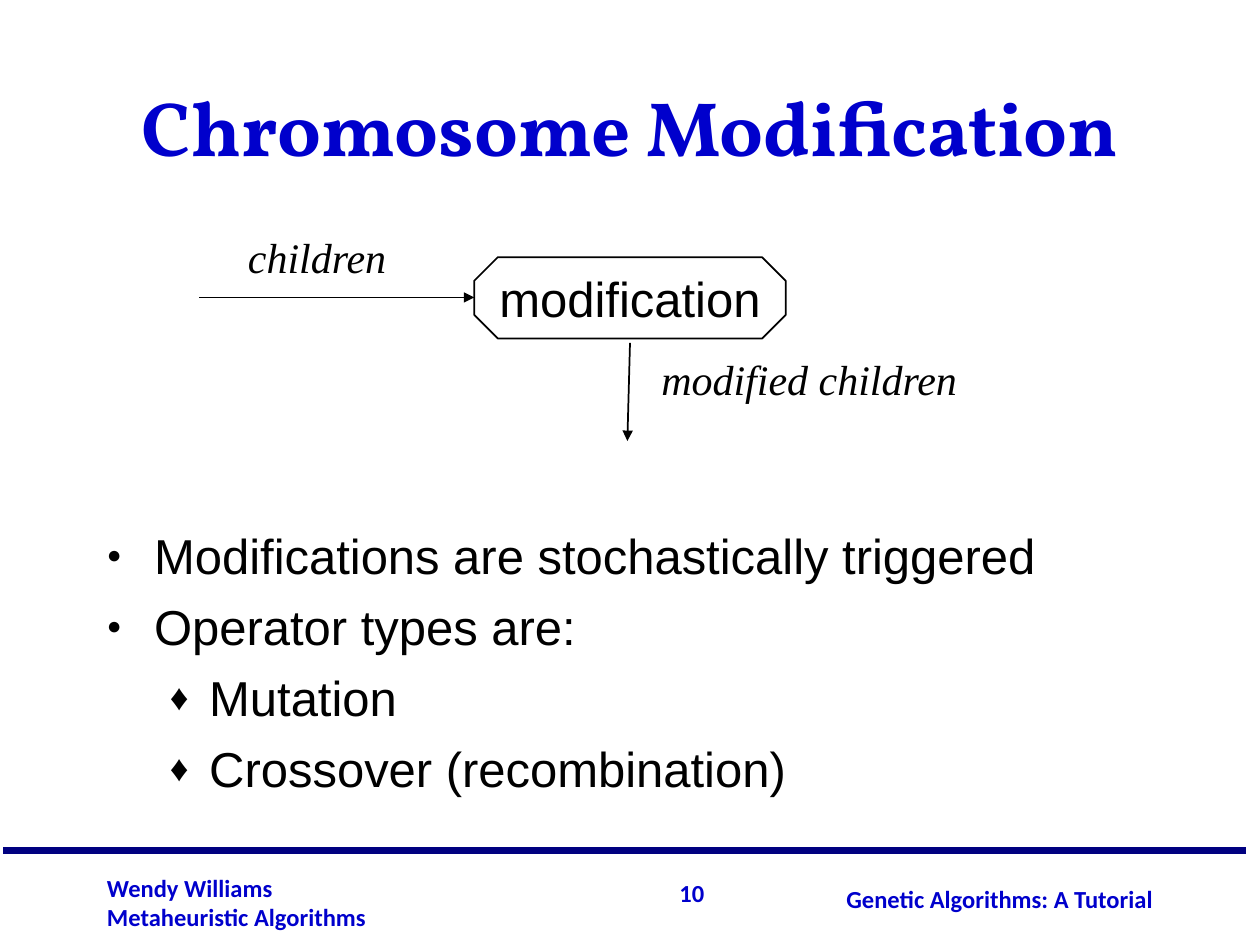
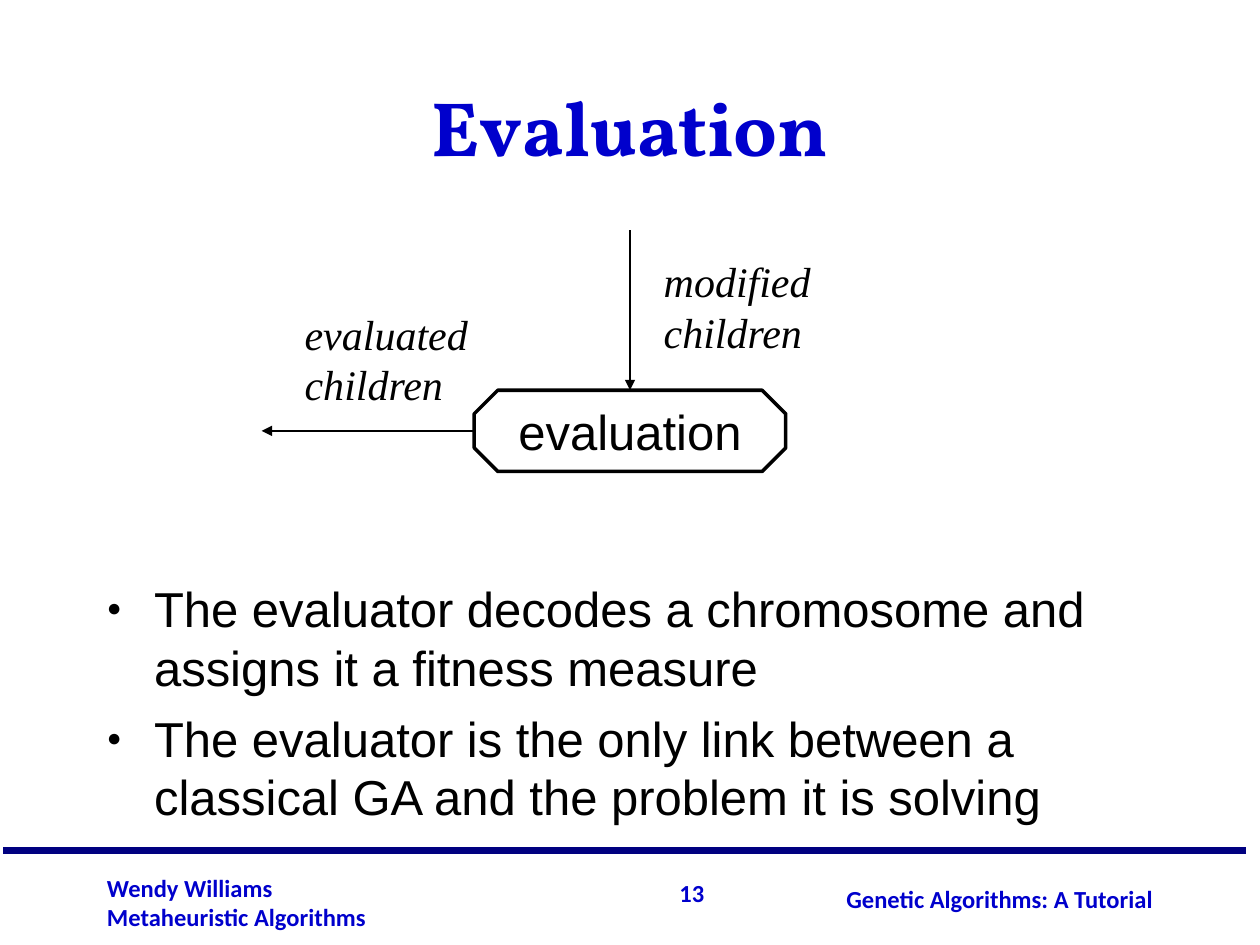
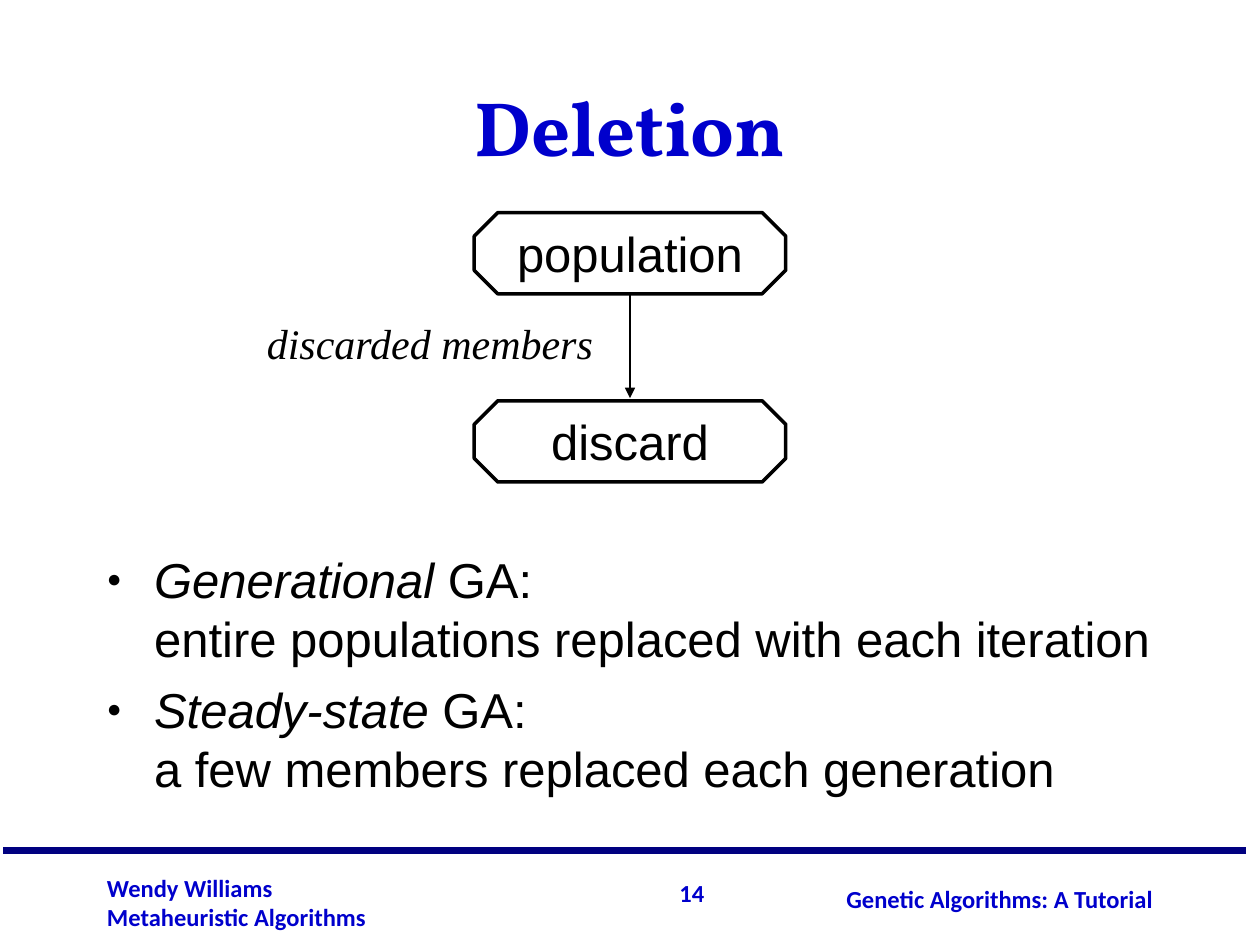
"""Build three slides on genetic algorithm steps, each with a flow sketch and bullets."""
from collections import namedtuple
from dataclasses import dataclass

from lxml.etree import SubElement
from pptx import Presentation
from pptx.dml.color import RGBColor
from pptx.enum.shapes import MSO_CONNECTOR, MSO_SHAPE
from pptx.enum.text import MSO_ANCHOR, MSO_AUTO_SIZE, PP_ALIGN
from pptx.oxml.ns import qn
from pptx.util import Pt

Style = namedtuple("Style", "font size color bold italic leading")


@dataclass(frozen=True)
class Theme:
    """Colours and type styles."""
    black: str = "000000"
    white: str = "FFFFFF"
    navy: str = "000080"
    title: Style = Style("Vollkorn", 44, "0000CC", True, False, None)
    body: Style = Style("Arial", 28, "000000", False, False, 33.6)
    term: Style = Style("Arial", 28, "000000", False, True, 33.6)
    label: Style = Style("Times New Roman", 24, "000000", False, True, 28.8)
    foot: Style = Style("Calibri", 14, "0000CC", True, False, None)


theme = Theme()


def write(shape, paras, align=PP_ALIGN.LEFT, anchor=MSO_ANCHOR.TOP, wrap=True):
    """Fill a shape with paragraphs, each a list of (text, style) runs."""
    frame = shape.text_frame
    frame.auto_size = MSO_AUTO_SIZE.NONE
    frame.word_wrap = wrap
    frame.vertical_anchor = anchor
    for row, runs in enumerate(paras):
        para = frame.add_paragraph() if row else frame.paragraphs[0]
        para.alignment = align
        for text, style in runs:
            if text == "\n":
                para.add_line_break()
                continue
            run = para.add_run()
            run.text = text
            run.font.name = style.font
            run.font.size = Pt(style.size)
            run.font.bold = style.bold
            run.font.italic = style.italic
            run.font.color.rgb = RGBColor.from_string(style.color)
            if style.leading:
                para.line_spacing = Pt(style.leading)
    return frame


def draw(slide, ends, color, width, arrow=True):
    """Draw a straight line, with an arrowhead at its end if asked."""
    line = slide.shapes.add_connector(MSO_CONNECTOR.STRAIGHT, *map(Pt, ends))
    line.line.color.rgb = RGBColor.from_string(color)
    line.line.width = Pt(width)
    if arrow:
        SubElement(line.line._get_or_add_ln(), qn("a:tailEnd"), type="triangle")
    SubElement(line._element.spPr, qn("a:effectLst"))


LEFT, WIDE, TALL = 271, 178, 46.4
MID = LEFT + WIDE / 2
FLOOR = 474
LEVELS = [(27, -27, "●", 50), (58.5, -22.5, "♦", 75)]

pages = [
    dict(
        number=10, title="Chromosome Modification", edge=1,
        steps=[("modification", 147)],
        arrows=[(114, 170, LEFT, 170), (MID, 196, 358.5, 252)],
        labels=[(["children"], 134.6, 128.9, 94.3),
                (["modified children"], 370.8, 198.7, 184.3)],
        top=297,
        points=[(0, [("Modifications are stochastically triggered", theme.body)]),
                (0, [("Operator types are:", theme.body)]),
                (1, [("Mutation", theme.body)]),
                (1, [("Crossover (recombination)", theme.body)])],
    ),
    dict(
        number=13, title="Evaluation", edge=2,
        steps=[("evaluation", 223)],
        arrows=[(MID, 131.5, MID, 223), (LEFT, 246.2, 149.5, 246.2)],
        labels=[(["evaluated", "children"], 167, 172.8, 107.3),
                (["modified", "children"], 372.2, 142.6, 97.9)],
        top=327,
        points=[(0, [("The evaluator decodes a chromosome and assigns it a fitness measure", theme.body)]),
                (0, [("The evaluator is the only link between a classical GA "
                      "and the problem it is solving", theme.body)])],
    ),
    dict(
        number=14, title="Deletion", edge=2,
        steps=[("population", 121.5), ("discard", 229)],
        arrows=[(MID, 168, MID, 227.5)],
        labels=[(["discarded members"], 145.4, 177.8, 201.6)],
        top=310.6,
        points=[(0, [("Generational", theme.term), (" GA:", theme.body), ("\n", None),
                     ("entire populations replaced with each iteration", theme.body)]),
                (0, [("Steady-state", theme.term), (" GA:", theme.body), ("\n", None),
                     ("a few members replaced each generation", theme.body)])],
    ),
]

deck = Presentation()
deck.slide_width, deck.slide_height = Pt(720), Pt(540)

for page in pages:
    slide = deck.slides.add_slide(deck.slide_layouts[5])
    shapes = slide.shapes

    feet = [
        ([str(page["number"])], (311, 498.2, 98.6, 24), PP_ALIGN.RIGHT),
        (["Wendy Williams", "Metaheuristic Algorithms"], (54, 495.4, 270, 40.3), PP_ALIGN.LEFT),
        (["Genetic Algorithms: A Tutorial"], (426.2, 501.8, 239.8, 24), PP_ALIGN.RIGHT),
    ]
    for lines, place, align in feet:
        foot = shapes.add_textbox(*map(Pt, place))
        write(foot, [[(text, theme.foot)] for text in lines], align, MSO_ANCHOR.MIDDLE)
    draw(slide, (2, 486, 712, 486), theme.navy, 4.5, arrow=False)

    title = shapes.title
    title.left, title.top, title.width, title.height = map(Pt, (54, 18, 612, 84))
    write(title, [[(page["title"], theme.title)]], PP_ALIGN.CENTER, MSO_ANCHOR.BOTTOM)

    body = shapes.add_textbox(Pt(54), Pt(page["top"]), Pt(612), Pt(FLOOR - page["top"]))
    frame = write(body, [runs for _, runs in page["points"]])
    for row, (para, (level, _)) in enumerate(zip(frame.paragraphs, page["points"])):
        margin, indent, mark, scale = LEVELS[level]
        para.level = level
        if row:
            para.space_before = Pt(7)
        props = para._p.get_or_add_pPr()
        props.set("marL", str(Pt(margin)))
        props.set("indent", str(Pt(indent)))
        tint = SubElement(props, qn("a:buClr"))
        SubElement(tint, qn("a:srgbClr"), val=theme.black)
        SubElement(props, qn("a:buSzPct"), val=str(scale * 1000))
        SubElement(props, qn("a:buFont"), typeface=theme.body.font)
        SubElement(props, qn("a:buChar"), char=mark)

    for name, top in page["steps"]:
        step = shapes.add_shape(MSO_SHAPE.OCTAGON, Pt(LEFT), Pt(top), Pt(WIDE), Pt(TALL))
        step.adjustments[0] = 0.29
        step.shadow.inherit = False
        step.fill.solid()
        step.fill.fore_color.rgb = RGBColor.from_string(theme.white)
        step.line.color.rgb = RGBColor.from_string(theme.black)
        step.line.width = Pt(page["edge"])
        write(step, [[(name, theme.body)]], PP_ALIGN.CENTER, MSO_ANCHOR.MIDDLE, wrap=False)

    for ends in page["arrows"]:
        draw(slide, ends, theme.black, 1)

    for lines, left, top, width in page["labels"]:
        height = len(lines) * theme.label.leading + 7.2
        label = shapes.add_textbox(Pt(left), Pt(top), Pt(width), Pt(height))
        write(label, [[(text, theme.label)] for text in lines], wrap=False)

deck.save("out.pptx")
